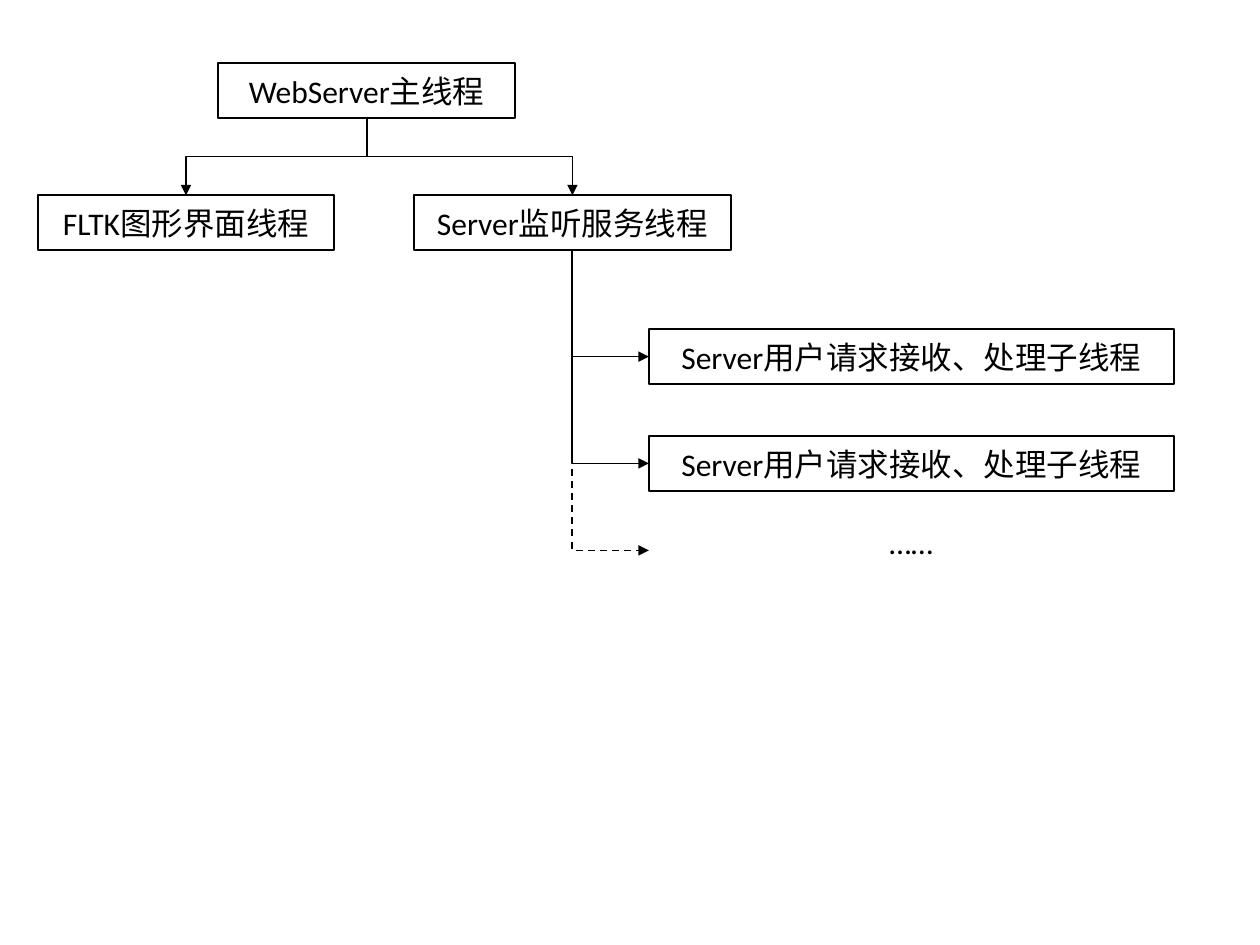
from lxml import etree
from pptx import Presentation
from pptx.dml.color import RGBColor
from pptx.enum.dml import MSO_LINE
from pptx.enum.shapes import MSO_CONNECTOR, MSO_SHAPE
from pptx.enum.text import MSO_ANCHOR, MSO_AUTO_SIZE, PP_ALIGN
from pptx.oxml.ns import qn
from pptx.util import Pt

RECTANGLE, ELBOW = MSO_SHAPE.RECTANGLE, MSO_CONNECTOR.ELBOW
CENTER, MIDDLE, DASH = PP_ALIGN.CENTER, MSO_ANCHOR.MIDDLE, MSO_LINE.DASH
FIT_SHAPE = MSO_AUTO_SIZE.SHAPE_TO_FIT_TEXT
BLACK = RGBColor(0, 0, 0)
WHITE = RGBColor(255, 255, 255)
BOX_HEIGHT = 31.2
BOTTOM_SITE, LEFT_SITE, TOP_SITE = 2, 1, 0


def add_label(frame, text):
    """Write one run of black 18 pt text into a text frame."""
    run = frame.paragraphs[0].add_run()
    run.text = text
    run.font.name = "Calibri"
    run.font.size = Pt(18)
    run.font.color.rgb = BLACK


def add_thread(slide, left, top, width, text):
    """Add a white outlined box that names a thread."""
    thread = slide.shapes.add_shape(RECTANGLE, Pt(left), Pt(top), Pt(width), Pt(BOX_HEIGHT))
    thread.shadow.inherit = False
    thread.fill.solid()
    thread.fill.fore_color.rgb = WHITE
    thread.line.color.rgb = BLACK
    thread.line.width = Pt(1)
    frame = thread.text_frame
    frame.word_wrap = True
    frame.vertical_anchor = MIDDLE
    frame.paragraphs[0].alignment = CENTER
    add_label(frame, text)
    return thread


def add_branch(slide, parent, end_x, end_y, preset, child=None, site=None):
    """Add an elbow arrow that leaves the bottom of parent and ends at a point."""
    start_x = parent.left + parent.width // 2
    start_y = parent.top + parent.height
    across, down = end_x - start_x, end_y - start_y
    branch = slide.shapes.add_connector(ELBOW, start_x, start_y, end_x, end_y)
    branch.begin_connect(parent, BOTTOM_SITE)
    if child is not None:
        branch.end_connect(child, site)

    # The elbow is drawn sideways, then turned so that it starts downwards.
    branch.width, branch.height = down, abs(across)
    branch.left = (start_x + end_x - branch.width) // 2
    branch.top = (start_y + end_y - branch.height) // 2
    properties = branch._element.spPr
    transform = properties.find(qn("a:xfrm"))
    for flip in ("flipH", "flipV"):
        transform.attrib.pop(flip, None)
    transform.set("rot", "16200000" if across > 0 else "5400000")
    if across > 0:
        transform.set("flipH", "1")
    properties.find(qn("a:prstGeom")).set("prst", preset)

    branch.line.color.rgb = BLACK
    branch.line.width = Pt(1)
    etree.SubElement(branch.line._get_or_add_ln(), qn("a:tailEnd"), type="triangle")
    etree.SubElement(properties, qn("a:effectLst"))
    return branch


def add_thread_tree(slide, left, top):
    """Draw the tree of server threads from its top left corner."""
    main = add_thread(slide, left + 103, top, 169.8, "WebServer主线程")
    second_row = top + 75.4
    interface = add_thread(slide, left, second_row, 169.4, "FLTK图形界面线程")
    listener = add_thread(slide, left + 215, second_row, 181, "Server监听服务线程")
    for child in (interface, listener):
        add_branch(slide, main, child.left + child.width // 2, child.top,
                   "bentConnector3", child, TOP_SITE)

    workers_left = left + 349.2
    for index in range(2):
        worker = add_thread(slide, workers_left, top + 152 + index * 61, 300,
                            "Server用户请求接收、处理子线程")
        add_branch(slide, listener, worker.left, worker.top + worker.height // 2,
                   "bentConnector2", worker, LEFT_SITE)

    further = slide.shapes.add_textbox(Pt(left + 479.5), Pt(top + 259.2), Pt(39.6), Pt(29))
    further.text_frame.word_wrap = False
    further.text_frame.auto_size = FIT_SHAPE
    add_label(further.text_frame, "……")
    pending = add_branch(slide, listener, Pt(workers_left), Pt(top + 278.3), "bentConnector2")
    pending.line.dash_style = DASH


presentation = Presentation()
presentation.slide_width = Pt(720)
presentation.slide_height = Pt(540)
blank_layout = presentation.slide_layouts[6]
add_thread_tree(presentation.slides.add_slide(blank_layout), 21.6, 36.2)
presentation.save("out.pptx")
